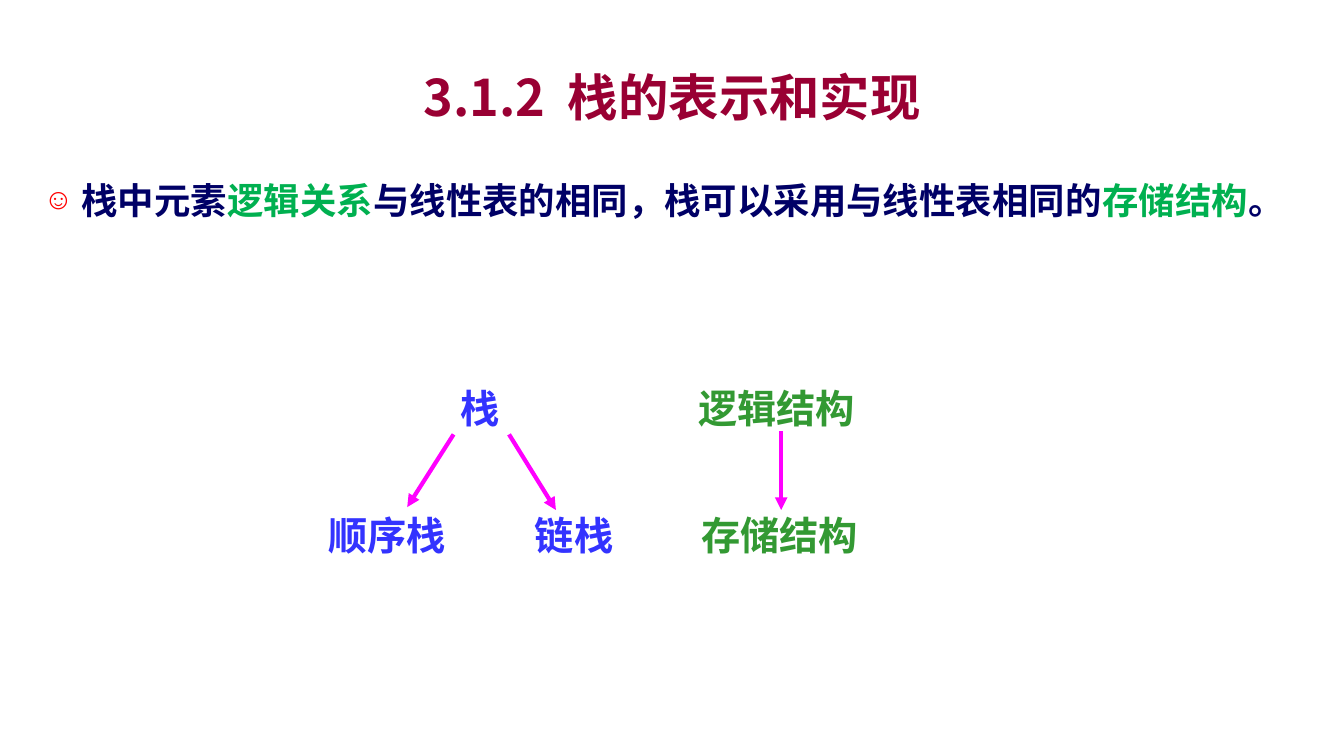
from dataclasses import dataclass

from lxml.etree import SubElement
from pptx import Presentation
from pptx.dml.color import RGBColor
from pptx.enum.shapes import MSO_CONNECTOR
from pptx.enum.text import MSO_ANCHOR, MSO_AUTO_SIZE, PP_ALIGN
from pptx.oxml.ns import qn
from pptx.util import Pt


@dataclass(frozen=True)
class Theme:
    title: str = "990033"
    body: str = "000066"
    highlight: str = "00B050"
    bullet: str = "FF0000"
    stack: str = "3333FF"
    structure: str = "339933"
    arrow: str = "FF00FF"
    title_size: int = 36
    body_size: int = 26
    label_size: int = 28
    arrow_width: int = 3
    chinese_font: str = "Noto Sans CJK SC"
    label_font: str = "Times New Roman"


class SlideBuilder:
    def __init__(self, slide, theme):
        self.slide = slide
        self.theme = theme

    def add_run(self, paragraph, text, size, color, latin_font, spacing=0):
        """Add bold text; spacing is extra letter spacing in points."""
        run = paragraph.add_run()
        run.text = text
        run.font.size = Pt(size)
        run.font.bold = True
        run.font.name = latin_font
        run.font.color.rgb = RGBColor.from_string(color)
        properties = run._r.get_or_add_rPr()
        SubElement(properties, qn("a:ea"), typeface=self.theme.chinese_font)
        if spacing:
            properties.set("spc", str(spacing * 100))

    def place(self, shape, left, top, width, height):
        shape.left, shape.top = Pt(left), Pt(top)
        shape.width, shape.height = Pt(width), Pt(height)
        shape.text_frame.word_wrap = True
        shape.text_frame.auto_size = MSO_AUTO_SIZE.NONE
        return shape.text_frame

    def title(self, number, text, *box):
        theme = self.theme
        frame = self.place(self.slide.shapes.title, *box)
        frame.vertical_anchor = MSO_ANCHOR.MIDDLE
        paragraph = frame.paragraphs[0]
        paragraph.alignment = PP_ALIGN.CENTER
        for part, spacing in ((number, 0), (" ", 8), (text, 0)):
            self.add_run(paragraph, part, theme.title_size, theme.title,
                         theme.chinese_font, spacing)

    def bullet_list(self, items, *box):
        """Fill the body; each item is a list of (text, color) runs."""
        theme = self.theme
        frame = self.place(self.slide.placeholders[1], *box)
        frame.vertical_anchor = MSO_ANCHOR.TOP
        for index, runs in enumerate(items):
            paragraph = frame.add_paragraph() if index else frame.paragraphs[0]
            properties = paragraph._p.get_or_add_pPr()
            properties.set("marL", str(Pt(27)))
            properties.set("indent", str(Pt(-27)))
            bullet_color = SubElement(properties, qn("a:buClr"))
            SubElement(bullet_color, qn("a:srgbClr"), val=theme.bullet)
            SubElement(properties, qn("a:buSzPct"), val="80000")
            SubElement(properties, qn("a:buChar"), char="☺")
            paragraph.line_spacing = 1.5
            paragraph.space_before = Pt(6 if index else 0)
            paragraph.space_after = Pt(6)
            for text, color in runs:
                self.add_run(paragraph, text, theme.body_size, color, theme.chinese_font)

    def label(self, text, color, left, top, width, alignment=PP_ALIGN.LEFT):
        shape = self.slide.shapes.add_textbox(0, 0, 0, 0)
        frame = self.place(shape, left, top, width, 41)
        paragraph = frame.paragraphs[0]
        paragraph.alignment = alignment
        self.add_run(paragraph, text, self.theme.label_size, color, self.theme.label_font)

    def arrow(self, *ends):
        connector = self.slide.shapes.add_connector(
            MSO_CONNECTOR.STRAIGHT, *(Pt(value) for value in ends))
        connector.line.color.rgb = RGBColor.from_string(self.theme.arrow)
        connector.line.width = Pt(self.theme.arrow_width)
        SubElement(connector.line._get_or_add_ln(), qn("a:tailEnd"), type="triangle")
        SubElement(connector._element.spPr, qn("a:effectLst"))


def main():
    presentation = Presentation()
    presentation.slide_width, presentation.slide_height = Pt(960), Pt(540)
    theme = Theme()
    builder = SlideBuilder(
        presentation.slides.add_slide(presentation.slide_layouts[1]), theme)

    builder.title("3.1.2", "栈的表示和实现", 72, 42, 816, 54)
    builder.bullet_list([[
        ("栈中元素", theme.body),
        ("逻辑关系", theme.highlight),
        ("与线性表的相同，栈可以采用与线性表相同的", theme.body),
        ("存储结构", theme.highlight),
        ("。", theme.body),
    ]], 24, 108, 912, 78)

    upper_row, lower_row = 270.7, 361.4
    builder.label("栈", theme.stack, 312.5, upper_row, 61, PP_ALIGN.CENTER)
    builder.label("顺序栈", theme.stack, 227.5, lower_row, 119)
    builder.label("链栈", theme.stack, 375, lower_row, 85)
    builder.label("逻辑结构", theme.structure, 491.8, upper_row, 138)
    builder.label("存储结构", theme.structure, 494, lower_row, 154)

    builder.arrow(324, 310.3, 290.9, 362.2)
    builder.arrow(363.6, 310.3, 397.1, 364.3)
    builder.arrow(558, 308.2, 558, 364.3)

    presentation.save("out.pptx")


if __name__ == "__main__":
    main()
